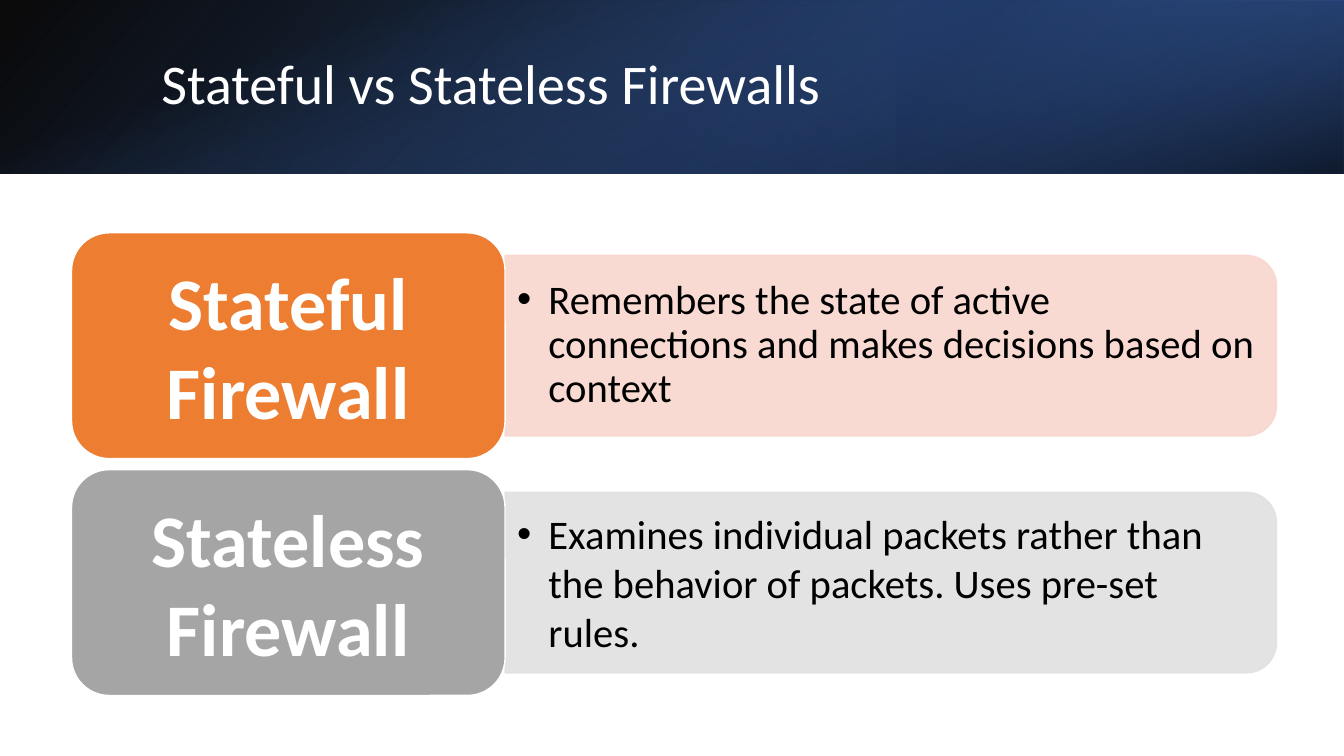
from pptx import Presentation
from pptx.dml.color import RGBColor
from pptx.enum import shapes, text
from pptx.oxml import ns, parse_xml
from pptx.util import Inches, Pt

COLORS = {
    "black": "000000", "white": "FFFFFF", "navy": "203864", "blue": "2F5597",
    "sky": "4472C4", "orange": "ED7D31", "peach": "F8D7CE", "gray": "A5A5A5",
    "silver": "E1E1E1",
}
FONT = "Calibri"
BANNER_LAYERS = [
    ((0, 0, 13.33, 1.72), 0, True, 140, [(0, "black", 96), (100, "blue", 100)]),
    ((8.89, 0, 4.44, 1.72), 180, True, 320, [(19, "navy", 68), (100, "sky", 79)]),
    ((5.8, -5.8, 1.72, 13.33), 90, False, 340, [(23, "sky", 0), (99, "black", 74)]),
]
FIREWALLS = [
    ("Stateful Firewall", "orange", "peach", 0.9,
     "Remembers the state of active connections and makes decisions based on context"),
    ("Stateless Firewall", "gray", "silver", 1.0,
     "Examines individual packets rather than the behavior of packets. Uses pre-set rules."),
]


def rgb(name):
    """Return the named colour."""
    return RGBColor.from_string(COLORS[name])


def add_shape(page, kind, box, fill=None, line=None):
    """Add a shadowless shape with a solid fill and a one-point line."""
    shape = page.shapes.add_shape(kind, *map(Inches, box))
    shape.shadow.inherit = False
    if fill:
        shape.fill.solid()
        shape.fill.fore_color.rgb = rgb(fill)
    if line:
        shape.line.color.rgb = rgb(line)
        shape.line.width = Pt(1)
    else:
        shape.line.fill.background()
    return shape


def write_text(frame, words, size, color, align, margins, bold=False, spacing=1.0):
    """Write one paragraph into a text frame and return it."""
    frame.word_wrap = True
    frame.auto_size = text.MSO_AUTO_SIZE.NONE
    frame.vertical_anchor = text.MSO_ANCHOR.MIDDLE
    frame.margin_left = frame.margin_right = Inches(margins[0])
    frame.margin_top = frame.margin_bottom = Inches(margins[1])
    para = frame.paragraphs[0]
    para.alignment = align
    para.line_spacing = spacing
    span = para.add_run()
    span.text = words
    span.font.name = FONT
    span.font.size = Pt(size)
    span.font.bold = bold
    span.font.color.rgb = rgb(color)
    return para


def gradient_xml(angle, stops):
    """Return a linear gradient fill with per-stop opacity."""
    marks = "".join(
        f'<a:gs pos="{pos * 1000}"><a:srgbClr val="{COLORS[color]}">'
        f'<a:alpha val="{opacity * 1000}"/></a:srgbClr></a:gs>'
        for pos, color, opacity in stops)
    return parse_xml(
        f'<a:gradFill {ns.nsdecls("a")} rotWithShape="1"><a:gsLst>{marks}</a:gsLst>'
        f'<a:lin ang="{angle * 60000}" scaled="0"/></a:gradFill>')


def add_banner(page, title_box):
    """Layer the gradients and set the title over them."""
    for box, rotation, flipped, angle, stops in BANNER_LAYERS:
        layer = add_shape(page, shapes.MSO_SHAPE.RECTANGLE, box)
        layer.rotation = rotation
        properties = layer.element.spPr
        if flipped:
            properties.find(ns.qn("a:xfrm")).set("flipH", "1")
        properties.find(ns.qn("a:prstGeom")).addnext(gradient_xml(angle, stops))
    title = page.shapes.title
    title.left, title.top, title.width, title.height = map(Inches, title_box)
    write_text(title.text_frame, "Stateful vs Stateless Firewalls", 40, "white",
               text.PP_ALIGN.LEFT, (0.1, 0.05), spacing=0.9)
    page.shapes.element.append(title.element)


def add_firewall(page, box, name, color, tint, spacing, description):
    """Place a name card and its description panel in the box."""
    left, top, width, height = box
    card_width = 4.3
    panel_width, panel_height = width - card_width, 0.8 * height
    panel_left, middle = left + card_width, top + height / 2
    panel = add_shape(
        page, shapes.MSO_SHAPE.ROUND_2_SAME_RECTANGLE,
        (panel_left + (panel_width - panel_height) / 2, middle - panel_width / 2,
         panel_height, panel_width), tint, tint)
    panel.rotation = 90
    for shade in panel.element.spPr.iter(ns.qn("a:srgbClr")):
        shade.append(parse_xml(f'<a:alpha {ns.nsdecls("a")} val="90000"/>'))

    body = page.shapes.add_textbox(*map(Inches, (panel_left, middle - 0.81, panel_width - 0.09, 1.61)))
    para = write_text(body.text_frame, description, 29, "black",
                      text.PP_ALIGN.LEFT, (0.12, 0.06), spacing=spacing)
    layout = para._p.get_or_add_pPr()
    layout.set("marL", str(Inches(0.31)))
    layout.set("indent", str(-Inches(0.31)))
    layout.append(parse_xml(f'<a:buFont {ns.nsdecls("a")} typeface="Arial"/>'))
    layout.append(parse_xml(f'<a:buChar {ns.nsdecls("a")} char="•"/>'))

    card = add_shape(page, shapes.MSO_SHAPE.ROUNDED_RECTANGLE,
                     (left, top, card_width, height), color, "white")
    write_text(card.text_frame, name, 53, "white", text.PP_ALIGN.CENTER,
               (0.22, 0.11), bold=True)


def main():
    """Build the firewall comparison slide."""
    deck = Presentation()
    deck.slide_width, deck.slide_height = Inches(13.33), Inches(7.5)
    page = deck.slides.add_slide(deck.slide_layouts[5])
    add_banner(page, (1.5, 0.38, 10.98, 0.96))
    for row, firewall in enumerate(FIREWALLS):
        add_firewall(page, (0.71, 2.31 + row * 2.35, 11.95, 2.24), *firewall)
    deck.save("out.pptx")


if __name__ == "__main__":
    main()
